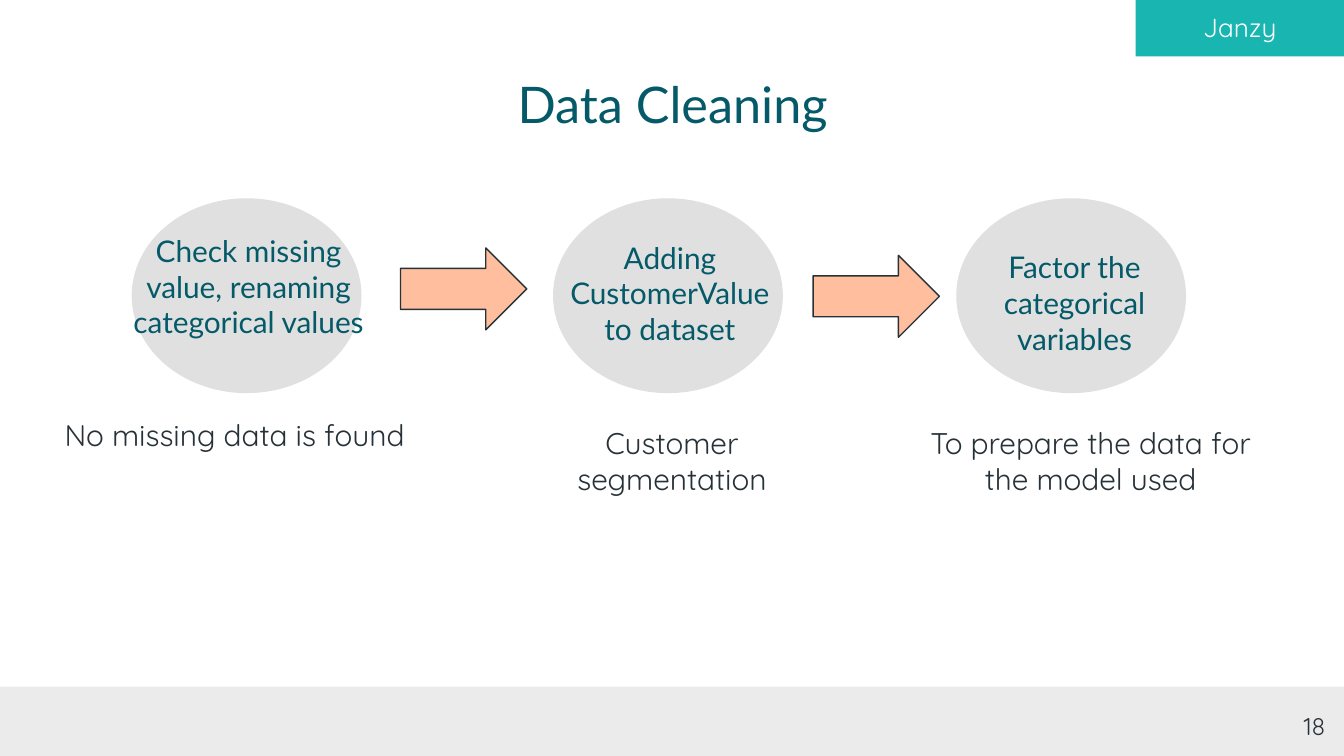
from pptx import Presentation
from pptx.dml.color import RGBColor
from pptx.enum.shapes import MSO_SHAPE
from pptx.enum.text import MSO_ANCHOR, PP_ALIGN
from pptx.util import Inches, Pt

COLS, ROWS = 100, 56.25
WIDTH = Inches(10)
UNIT = WIDTH // COLS

TEAL = RGBColor(0x04, 0x5A, 0x68)
AQUA = RGBColor(0x19, 0xB5, 0xB1)
PEACH = RGBColor(0xFF, 0xBE, 0x9D)
INK = RGBColor(0x26, 0x32, 0x38)
GRAY = RGBColor(0xE0, 0xE0, 0xE0)
PALE = RGBColor(0xEB, 0xEB, 0xEB)
WHITE = RGBColor(0xFF, 0xFF, 0xFF)

STEPS = [
    (9.8, "Check missing value, renaming categorical values", (8.1, 16.3, 20.8),
     "No missing data is found", (3.7, 30, 27.5)),
    (41.15, "Adding CustomerValue to dataset", (40.6, 16.8, 18.5),
     "Customer segmentation", (37.5, 30.6, 25)),
    (71.15, "Factor the categorical variables", (70.7, 17.5, 18.5),
     "To prepare the data for the model used", (67.4, 30.6, 27.5)),
]
ARROWS = [(29.8, 18.45), (60.5, 19)]


def grid(*cells):
    return [round(cell * UNIT) for cell in cells]


def write(frame, text, size=16, font="Quicksand", color=INK,
          align=PP_ALIGN.CENTER, anchor=MSO_ANCHOR.TOP):
    frame.word_wrap = True
    frame.margin_left = frame.margin_right = UNIT
    frame.margin_top = frame.margin_bottom = UNIT
    frame.vertical_anchor = anchor
    para = frame.paragraphs[0]
    para.alignment = align
    run = para.add_run()
    run.text = text
    run.font.size = Pt(size)
    run.font.name = font
    run.font.color.rgb = color


def label(slide, cells, text, **style):
    box = slide.shapes.add_textbox(*grid(*cells))
    write(box.text_frame, text, **style)


def block(slide, kind, cells, fill, line=None):
    shape = slide.shapes.add_shape(kind, *grid(*cells))
    shape.shadow.inherit = False
    shape.fill.solid()
    shape.fill.fore_color.rgb = fill
    if line is None:
        shape.line.fill.background()
    else:
        shape.line.color.rgb = line
        shape.line.width = Pt(0.75)
    return shape


def step(slide, left, head, spot, note, base):
    block(slide, MSO_SHAPE.OVAL, (left, 14.75, 17.1, 14.5), GRAY)
    label(slide, (*spot, 3.5), head, font="Lato", color=TEAL)
    label(slide, (*base, 8), note)


def main():
    deck = Presentation()
    deck.slide_width, deck.slide_height = grid(COLS, ROWS)
    slide = deck.slides.add_slide(deck.slide_layouts[6])

    block(slide, MSO_SHAPE.RECTANGLE, (0, 51.1, COLS, ROWS - 51.1), PALE)
    label(slide, (7.9, 5.9, 84.3, 3.5), "Data Cleaning", size=27,
          font="Lato", color=TEAL, anchor=MSO_ANCHOR.MIDDLE)
    for item in STEPS:
        step(slide, *item)
    for left, top in ARROWS:
        block(slide, MSO_SHAPE.RIGHT_ARROW, (left, top, 9.4, 6.1), PEACH, INK)

    tag = block(slide, MSO_SHAPE.RECTANGLE, (84.5, -0.1, 15.5, 4.3), AQUA)
    write(tag.text_frame, "Janzy", size=14, color=WHITE,
          anchor=MSO_ANCHOR.MIDDLE)
    label(slide, (93.6, 51.9, 6, 4.3), "18", size=13, align=PP_ALIGN.RIGHT)
    deck.save("out.pptx")


if __name__ == "__main__":
    main()
